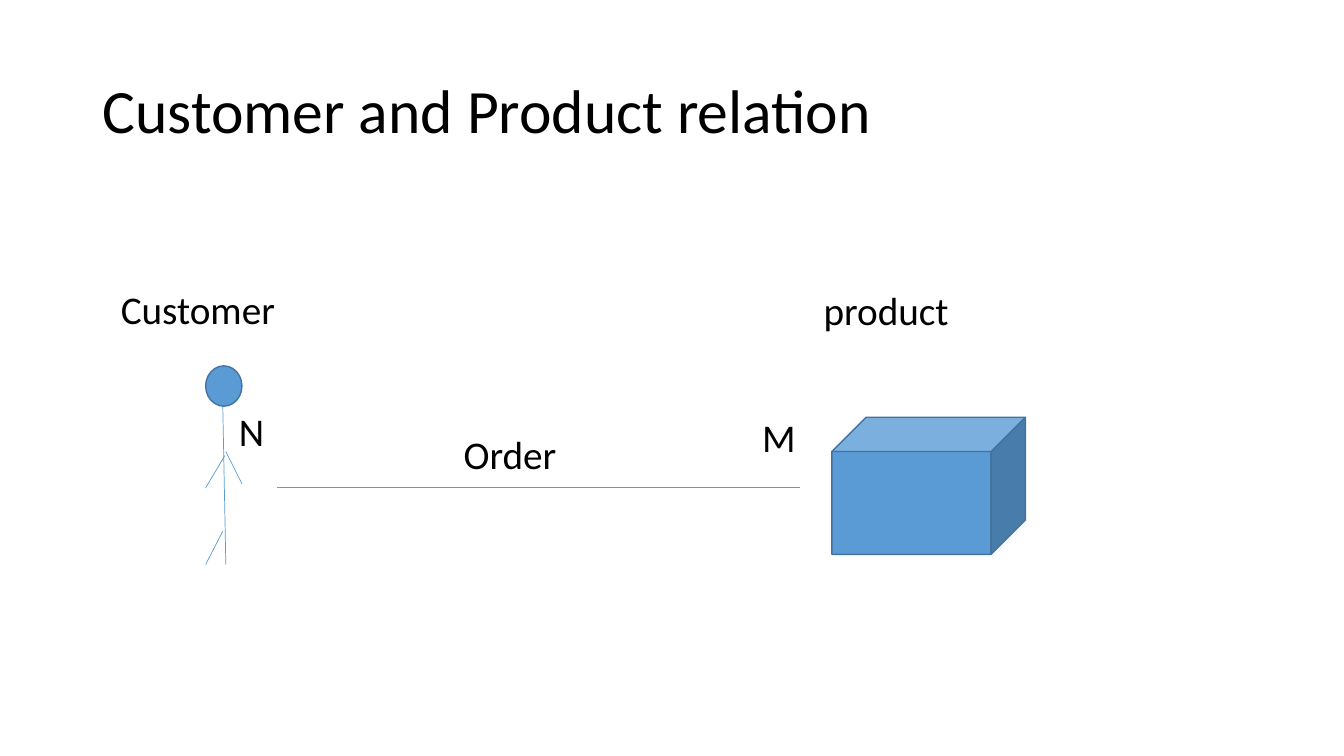
from dataclasses import dataclass

from lxml.etree import SubElement
from pptx import Presentation
from pptx.dml.color import RGBColor
from pptx.enum.shapes import MSO_CONNECTOR as Connector
from pptx.enum.shapes import MSO_SHAPE as Preset
from pptx.enum.text import MSO_ANCHOR as Anchor
from pptx.oxml.ns import qn
from pptx.shapes.shapetree import GroupShapes, SlideShapes
from pptx.util import Inches, Pt

Shapes = SlideShapes | GroupShapes

BLUE = "5B9BD5"
DARK_BLUE = "43739E"
BLACK = "000000"


@dataclass(frozen=True)
class Label:
    text: str
    left: float
    top: float
    width: float = 2.28
    height: float = 1.45
    size: float = 28


@dataclass(frozen=True)
class Line:
    start: tuple[float, float]
    end: tuple[float, float]


@dataclass(frozen=True)
class Solid:
    preset: Preset
    left: float
    top: float
    width: float
    height: float


TITLE = Label("Customer and Product relation", 0.92, 0.4, 11.5, 1.45, 44)
LABELS = [
    Label("Customer", 1.1, 2.37),
    Label("product", 8.07, 2.38),
    Label("N", 2.27, 3.72, 1.13, 1.17),
    Label("M", 7.46, 3.78, 1.13, 1.17),
    Label("Order", 4.5, 3.81),
]
HEAD = Solid(Preset.OVAL, 2.04, 3.63, 0.36, 0.4)
BODY_LINES = [
    Line((2.21, 4.04), (2.24, 5.6)),
    Line((2.23, 4.52), (2.04, 4.84)),
    Line((2.24, 4.48), (2.4, 4.8)),
    Line((2.21, 5.27), (2.04, 5.6)),
]
PRODUCT_CUBE = Solid(Preset.CUBE, 8.25, 4.14, 1.92, 1.36)
ORDER_LINE = Line((2.75, 4.84), (7.93, 4.84))


def color(value: str) -> RGBColor:
    return RGBColor.from_string(value)


def apply_format(target: object, values: dict[str, object]) -> None:
    for name, value in values.items():
        setattr(target, name, value)


def draw_label(shapes: Shapes, label: Label) -> None:
    box = shapes.add_textbox(
        Inches(label.left), Inches(label.top), Inches(label.width), Inches(label.height)
    )
    apply_format(box.text_frame, {"word_wrap": True, "vertical_anchor": Anchor.MIDDLE})
    paragraph = box.text_frame.paragraphs[0]
    paragraph.line_spacing = 0.9
    run = paragraph.add_run()
    run.text = label.text
    apply_format(run.font, {"name": "Calibri", "size": Pt(label.size)})
    run.font.color.rgb = color(BLACK)


def draw_line(shapes: Shapes, line: Line) -> None:
    points = [Inches(value) for value in (*line.start, *line.end)]
    connector = shapes.add_connector(Connector.STRAIGHT, *points)
    connector.line.width = Pt(0.5)
    connector.line.color.rgb = color(BLUE)
    SubElement(connector._element.spPr, qn("a:effectLst"))


def draw_solid(shapes: Shapes, solid: Solid) -> None:
    shape = shapes.add_shape(
        solid.preset,
        Inches(solid.left),
        Inches(solid.top),
        Inches(solid.width),
        Inches(solid.height),
    )
    shape.shadow.inherit = False
    shape.fill.solid()
    shape.fill.fore_color.rgb = color(BLUE)
    shape.line.width = Pt(1)
    shape.line.color.rgb = color(DARK_BLUE)


def draw_customer(shapes: SlideShapes) -> None:
    figure = shapes.add_group_shape()
    draw_solid(figure.shapes, HEAD)
    for line in BODY_LINES:
        draw_line(figure.shapes, line)


def main() -> None:
    presentation = Presentation()
    apply_format(
        presentation, {"slide_width": Inches(13.33), "slide_height": Inches(7.5)}
    )
    slide = presentation.slides.add_slide(presentation.slide_layouts[6])
    draw_label(slide.shapes, TITLE)
    draw_customer(slide.shapes)
    draw_solid(slide.shapes, PRODUCT_CUBE)
    draw_line(slide.shapes, ORDER_LINE)
    for label in LABELS:
        draw_label(slide.shapes, label)
    presentation.save("out.pptx")


if __name__ == "__main__":
    main()
